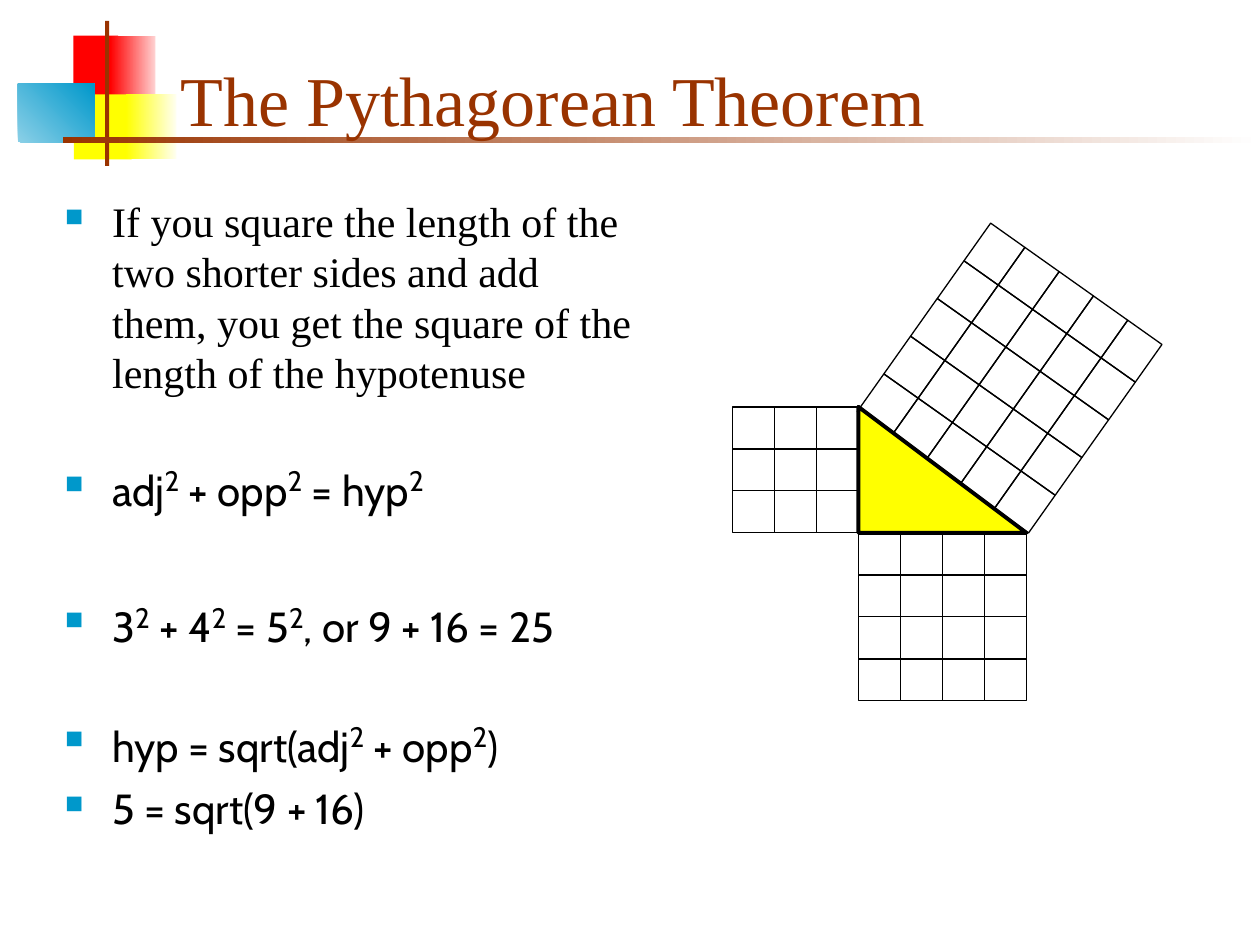
import math

from pptx import Presentation, util as u
from pptx.dml.color import RGBColor
from pptx.enum import shapes, text
from pptx.oxml import parse_xml
from pptx.oxml.ns import nsdecls

RED, PALE_RED = RGBColor(0xFF, 0, 0), RGBColor(0xFF, 0xD1, 0xD1)
YELLOW, PALE_YELLOW = RGBColor(0xFF, 0xFF, 0), RGBColor(0xFF, 0xFF, 0xF0)
BLUE, PALE_BLUE = RGBColor(0, 0x98, 0xCB), RGBColor(0x8B, 0xD0, 0xE7)
BROWN, WHITE, BLACK = RGBColor(0x99, 0x33, 0), RGBColor(255, 255, 255), RGBColor(0, 0, 0)

COLUMNS, ROWS = 120, 90
SERIF, SANS = "Times New Roman", "Cabin"
RECTANGLE = shapes.MSO_SHAPE.RECTANGLE


class Deck:
    def __init__(self, width, height):
        self.deck = Presentation()
        self.deck.slide_width, self.deck.slide_height = width, height
        self.column, self.row = width / COLUMNS, height / ROWS
        self.slide = self.deck.slides.add_slide(self.deck.slide_layouts[6])

    def box(self, left, top, width, height):
        return (u.Emu(round(left * self.column)), u.Emu(round(top * self.row)),
                u.Emu(round(width * self.column)), u.Emu(round(height * self.row)))

    def shape(self, kind, box, colors=(), line=None, angle=0, turn=0, group=None):
        """One colour gives a solid fill, two a gradient, none no fill."""
        parent = self.slide if group is None else group
        shape = parent.shapes.add_shape(kind, *self.box(*box))
        shape.shadow.inherit = False
        shape.rotation = turn
        fill = shape.fill
        if len(colors) == 2:
            fill.gradient()
            fill.gradient_angle = angle
            for stop, color, position in zip(fill.gradient_stops, colors, (0, 1)):
                stop.color.rgb, stop.position = color, position
        elif colors:
            fill.solid()
            fill.fore_color.rgb = colors[0]
        else:
            fill.background()
        if line:
            shape.line.color.rgb, shape.line.width = BLACK, u.Pt(line)
        else:
            shape.line.fill.background()

    def unit_squares(self, group, origin, side, width=4, height=4, turn=0):
        """Cells of a square that is turned clockwise about its first corner."""
        cos, sin = math.cos(math.radians(turn)), math.sin(math.radians(turn))
        for row in range(side):
            for column in range(side):
                across, down = (column + 0.5) * width, (row + 0.5) * height
                left = origin[0] + across * cos - down * sin - width / 2
                top = origin[1] + across * sin + down * cos - height / 2
                self.shape(RECTANGLE, (left, top, width, height),
                           line=0.75, turn=turn, group=group)

    def text_frame(self, box, anchor=text.MSO_ANCHOR.TOP):
        frame = self.slide.shapes.add_textbox(*self.box(*box)).text_frame
        frame.word_wrap, frame.vertical_anchor = True, anchor
        return frame

    def add_words(self, paragraph, content, font, size, color):
        """A caret before a digit makes that digit a superscript."""
        for index, part in enumerate(content.split("^")):
            raised, rest = (part[0], part[1:]) if index else ("", part)
            for words, points, baseline in ((raised, 27.7, "30000"), (rest, size, "0")):
                if not words:
                    continue
                run = paragraph.add_run()
                run.text = words
                values = {"name": font, "size": u.Pt(points)}
                for name, value in values.items():
                    setattr(run.font, name, value)
                run.font.color.rgb = color
                run.font._element.set("baseline", baseline)

    def title(self, box, content):
        frame = self.text_frame(box, text.MSO_ANCHOR.BOTTOM)
        self.add_words(frame.paragraphs[0], content, SERIF, 40, BROWN)

    def bullets(self, box, items):
        frame = self.text_frame(box)
        for index, (content, font, before, spacing) in enumerate(items):
            paragraph = frame.add_paragraph() if index else frame.paragraphs[0]
            values = {"space_before": u.Pt(before), "line_spacing": spacing}
            for name, value in values.items():
                setattr(paragraph, name, value)
            properties = paragraph._p.get_or_add_pPr()
            properties.set("marL", str(u.Inches(0.375)))
            properties.set("indent", str(-u.Inches(0.375)))
            for bullet in (f'<a:buClr {nsdecls("a")}><a:srgbClr val="{BLUE}"/></a:buClr>',
                           f'<a:buSzPct {nsdecls("a")} val="60000"/>',
                           f'<a:buChar {nsdecls("a")} char="■"/>'):
                properties.append(parse_xml(bullet))
            self.add_words(paragraph, content, font, 24, BLACK)


def main():
    deck = Deck(u.Inches(10), u.Inches(7.5))
    ornaments = [
        ((7, 3.4, 4.25, 6.2), (RED,), 0),
        ((10.5, 3.4, 4.3, 6.2), (RED, PALE_RED), 0),
        ((7.05, 9, 5.5, 6.2), (YELLOW,), 0),
        ((12, 9, 4.8, 6.2), (YELLOW, PALE_YELLOW), 0),
        ((1.7, 8, 7.3, 5.55), (PALE_BLUE, BLUE), 45),
        ((10, 2, 0.4, 13.8), (BROWN,), 0),
        ((6, 13, 114, 0.6), (BROWN, WHITE), 0),
    ]
    for box, colors, angle in ornaments:
        deck.shape(RECTANGLE, box, colors, angle=angle)

    deck.title((16, 3, 102.25, 11), "The Pythagorean Theorem")
    deck.bullets((5, 18, 57, 33), [
        ("If you square the length of the two shorter sides and add them, "
         "you get the square of the length of the hypotenuse", SERIF, 6, u.Pt(28.8)),
        ("adj^2 + opp^2 = hyp^2", SANS, 35, 1.0),
    ])

    left, top, unit = 81.75, 38.75, 4
    opposite, adjacent, hypotenuse = 3, 4, 5
    bottom = top + opposite * unit
    diagram = deck.slide.shapes.add_group_shape()
    deck.unit_squares(diagram, (left - opposite * unit, top), opposite)
    deck.unit_squares(diagram, (left, bottom), adjacent)
    deck.unit_squares(diagram, (94.35, 21.25), hypotenuse, height=4.4, turn=35.3)
    deck.shape(shapes.MSO_SHAPE.RIGHT_TRIANGLE,
               (left, top, adjacent * unit, opposite * unit),
               (YELLOW,), line=2.25, group=diagram)

    deck.bullets((5, 56, 75, 26), [
        ("3^2 + 4^2 = 5^2, or 9 + 16 = 25", SANS, 6, 1.0),
        ("hyp = sqrt(adj^2 + opp^2)", SANS, 35, 1.0),
        ("5 = sqrt(9 + 16)", SANS, 6, 1.0),
    ])
    deck.deck.save("out.pptx")


if __name__ == "__main__":
    main()
